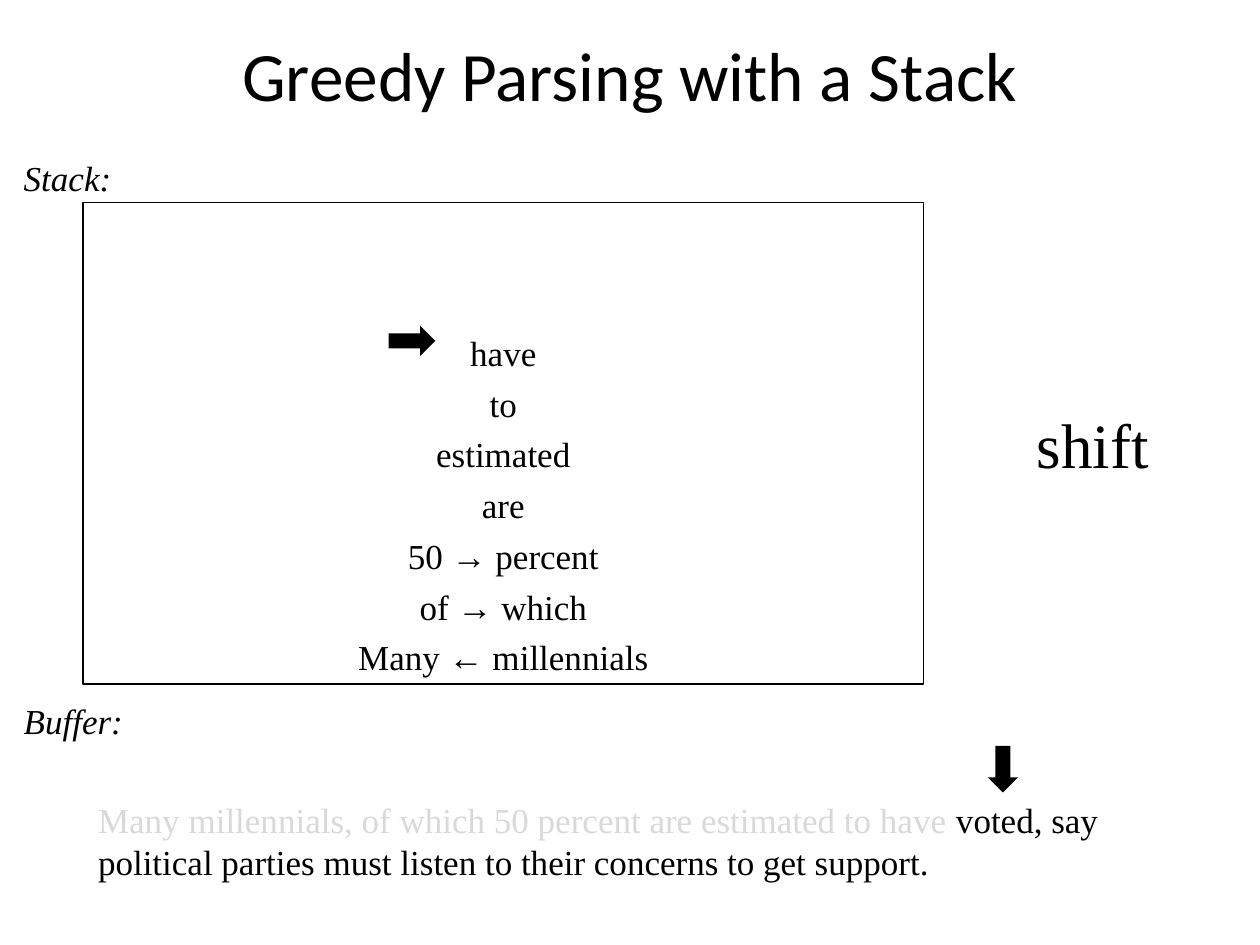
from pptx import Presentation
from pptx.dml.color import RGBColor
from pptx.enum import shapes, text
from pptx.util import Inches, Pt

COLORS = {"ink": "000000", "read": "D9D9D9"}
SERIF = "Times New Roman"


class Deck:
    """Holds the style and the current slide."""

    def __init__(self):
        self.prs = Presentation()
        self.prs.slide_width, self.prs.slide_height = Inches(10), Inches(7.5)
        self.s = self.prs.slides.add_slide(self.prs.slide_layouts[6])

    def color(self, name):
        return RGBColor.from_string(COLORS[name])

    def fill_text(self, tf, lines, size=20, font=SERIF, italic=False, center=False):
        """Each line is a list of (text, color name) runs."""
        for i, line in enumerate(lines):
            p = tf.paragraphs[0] if i == 0 else tf.add_paragraph()
            p.font.size, p.font.name, p.font.italic = Pt(size), font, italic
            p.alignment = text.PP_ALIGN.CENTER if center else text.PP_ALIGN.LEFT
            if i:
                p.space_before = Pt(5)
            for words, color in line:
                r = p.add_run()
                r.text = words
                r.font.color.rgb = self.color(color)

    def text(self, box, runs, top=0.05, wrap=True,
             anchor=text.MSO_ANCHOR.TOP, **style):
        tf = self.s.shapes.add_textbox(*map(Inches, box)).text_frame
        tf.word_wrap, tf.vertical_anchor = wrap, anchor
        tf.margin_top = Inches(top)
        self.fill_text(tf, [runs], **style)

    def frame(self, box, words):
        """Outlined box whose lines pile up from the bottom."""
        sp = self.s.shapes.add_shape(shapes.MSO_SHAPE.RECTANGLE, *map(Inches, box))
        sp.shadow.inherit = False
        sp.fill.background()
        sp.line.color.rgb = self.color("ink")
        sp.line.width = Pt(0.75)
        tf = sp.text_frame
        tf.word_wrap, tf.vertical_anchor = True, text.MSO_ANCHOR.BOTTOM
        self.fill_text(tf, [[(w, "ink")] for w in words], center=True)

    def arrow(self, left, top, rotation=0):
        sp = self.s.shapes.add_shape(shapes.MSO_SHAPE.DOWN_ARROW, Inches(left),
                                     Inches(top), Inches(0.24), Inches(0.37))
        sp.shadow.inherit = False
        sp.fill.solid()
        sp.fill.fore_color.rgb = self.color("ink")
        sp.line.fill.background()
        sp.rotation = rotation


def main():
    d = Deck()

    # Title
    d.text((0.5, 0.19, 9, 0.79), [("Greedy Parsing with a Stack", "ink")],
           size=39.6, font="Calibri", center=True, anchor=text.MSO_ANCHOR.MIDDLE)

    # Buffer: words already read are grey
    d.text((0.68, 6.25, 9, 0.83), [
        ("Many millennials, of which 50 percent are estimated to have", "read"),
        (" voted, say political parties must listen to their concerns "
         "to get support.", "ink")], top=0.09)
    d.arrow(7.84, 5.92)

    # Section labels
    for label, y in (("Buffer:", 5.46), ("Stack:", 1.15)):
        d.text((0.09, y, 1.07, 0.42), [(label, "ink")], top=0.09, italic=True)

    # Stack, top item first
    d.frame((0.66, 1.61, 6.67, 3.82),
            ["have", "to", "estimated", "are", "50 → percent", "of → which",
             "Many ← millennials"])

    # Current action and stack pointer
    d.text((8.11, 3.17, 1.13, 0.71), [("shift", "ink")],
           size=36, center=True, wrap=False)
    d.arrow(3.15, 2.52, rotation=270)

    d.prs.save("out.pptx")


if __name__ == "__main__":
    main()
